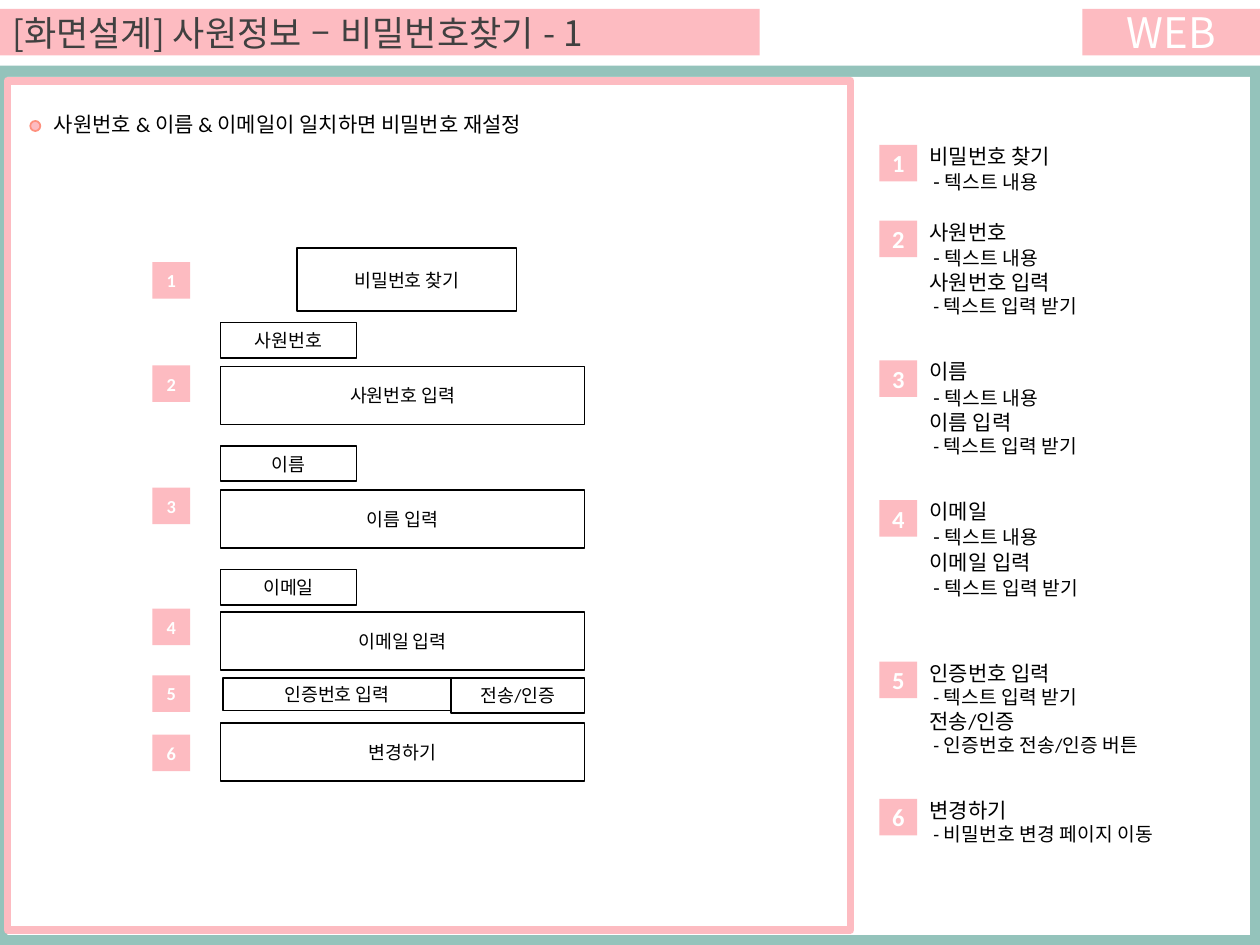
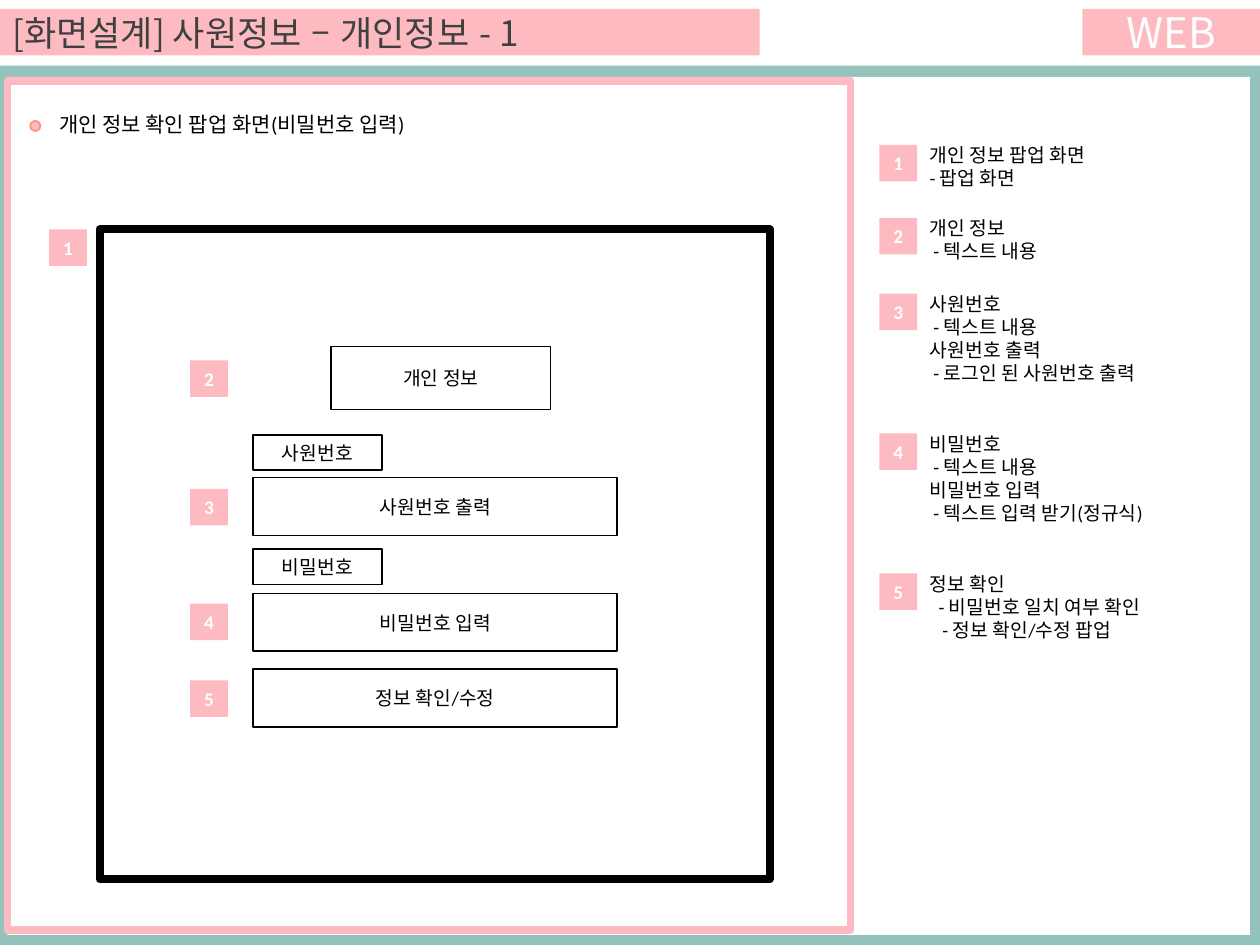
from typing import NamedTuple

from pptx import Presentation
from pptx import util as u
from pptx.dml.color import RGBColor
from pptx.enum import lang, shapes, text

PX = 9144  # 100 px to the inch
COLORS = {
    "pink": "FDBBC1",
    "coral": "FE907E",
    "teal": "94C3BB",
    "white": "FFFFFF",
    "black": "000000",
    "title": "404040",
}
BODY_FONT = "Calibri"
BAND_FONT = "Noto Sans CJK KR"
BADGE_W, BADGE_H = 30, 29
LEGEND_X = 698
DETAIL_SIZE = 11
RECT = shapes.MSO_SHAPE.RECTANGLE
OVAL = shapes.MSO_SHAPE.OVAL


class Box(NamedTuple):
    x: int
    y: int
    w: int
    h: int


class Style(NamedTuple):
    size: float
    color: str = "black"
    font: str = BODY_FONT
    bold: bool = False


class Wire(NamedTuple):
    caption: str
    box: Box


class Badge(NamedTuple):
    number: int
    x: int
    y: int


class NoteLine(NamedTuple):
    words: str
    indent: int = 0
    dash_size: float = 0  # 0 for a heading line


class Note(NamedTuple):
    y: int
    lines: list[NoteLine]


class Screen(NamedTuple):
    title: str
    summary: str
    summary_box: Box
    popup: Box | None
    wire_size: float
    wires: list[Wire]
    badges: list[Badge]
    heading_size: float
    legend_badge_size: float
    notes: list[Note]


def heading_wire(caption: str, x: int, y: int) -> Wire:
    return Wire(caption, Box(x, y, 174, 50))


def field_wire(caption: str, x: int, y: int) -> Wire:
    return Wire(caption, Box(x, y, 289, 46))


def label_wire(caption: str, x: int, y: int, w: int) -> Wire:
    return Wire(caption, Box(x, y, w, 28))


def detail(words: str, indent: int = 3, dash_size: float = DETAIL_SIZE) -> NoteLine:
    return NoteLine(words, indent, dash_size)


def emu(box: Box) -> list[int]:
    return [side * PX for side in box]


def rgb(color: str) -> RGBColor:
    return RGBColor.from_string(COLORS[color])


def add_run(paragraph, words: str, style: Style) -> None:
    run = paragraph.add_run()
    run.text = words
    font = run.font
    font.size, font.bold, font.name = u.Pt(style.size), style.bold, style.font
    font.color.rgb = rgb(style.color)
    font.language_id = lang.MSO_LANGUAGE_ID.KOREAN
    latin = run._r.rPr.find("{*}latin")
    east_asian = latin.makeelement(latin.tag.replace("latin", "ea"), {"typeface": style.font})
    latin.addnext(east_asian)


def draw_shape(parent, box: Box, fill: str = "", line: str = "",
               weight: float = 1, kind=RECT):
    shape = parent.add_shape(kind, *emu(box))
    shape.shadow.inherit = False
    if fill:
        shape.fill.solid()
        shape.fill.fore_color.rgb = rgb(fill)
    else:
        shape.fill.background()
    if line:
        shape.line.color.rgb = rgb(line)
        shape.line.width = u.Pt(weight)
    else:
        shape.line.fill.background()
    return shape


def draw_caption(parent, box: Box, words: str, style: Style, fill: str,
                 line: str = "", align=text.PP_ALIGN.CENTER) -> None:
    frame = draw_shape(parent, box, fill, line).text_frame
    frame.word_wrap = True
    frame.vertical_anchor = text.MSO_ANCHOR.MIDDLE
    frame.paragraphs[0].alignment = align
    add_run(frame.paragraphs[0], words, style)


def draw_badge(parent, badge: Badge, size: float) -> None:
    box = Box(badge.x, badge.y, BADGE_W, BADGE_H)
    draw_caption(parent, box, str(badge.number), Style(size, "white", bold=True), "pink")


def draw_text(parent, box: Box, lines: list[NoteLine], size: float) -> None:
    frame = parent.add_textbox(*emu(box)).text_frame
    frame.word_wrap = True
    frame.auto_size = text.MSO_AUTO_SIZE.SHAPE_TO_FIT_TEXT
    for index, line in enumerate(lines):
        paragraph = frame.add_paragraph() if index else frame.paragraphs[0]
        if line.indent:
            paragraph._p.get_or_add_pPr().set("marL", str(line.indent * PX))
        if line.dash_size:
            add_run(paragraph, "- ", Style(line.dash_size))
        add_run(paragraph, line.words, Style(DETAIL_SIZE if line.dash_size else size))


def draw_frame(slide) -> None:
    """Teal border, white page and pink outline of the mock-up area."""
    frame = slide.shapes.add_group_shape().shapes
    draw_shape(frame, Box(0, 52, 1000, 698), "teal")
    draw_shape(frame, Box(6, 61, 986, 681), "white")
    draw_shape(frame, Box(6, 64, 669, 674), line="pink", weight=4.5)


def draw_bands(slide, title: str) -> None:
    draw_caption(slide.shapes, Box(859, 7, 141, 37), "WEB",
                 Style(24, "white", BAND_FONT), "pink")
    draw_caption(slide.shapes, Box(0, 7, 603, 37), title,
                 Style(20, "title", BAND_FONT), "pink", align=text.PP_ALIGN.LEFT)


def draw_legend(slide, screen: Screen) -> None:
    for number, note in enumerate(screen.notes, 1):
        entry = slide.shapes.add_group_shape().shapes
        draw_badge(entry, Badge(number, LEGEND_X, note.y + 6), screen.legend_badge_size)
        height = 10 + round(18.5 * len(note.lines))
        draw_text(entry, Box(LEGEND_X + BADGE_W, note.y, 265, height),
                  note.lines, screen.heading_size)


def draw_screen(slide, screen: Screen) -> None:
    draw_frame(slide)
    draw_shape(slide.shapes, Box(24, 96, 8, 8), "pink", "coral", kind=OVAL)
    draw_text(slide.shapes, screen.summary_box, [NoteLine(screen.summary)], 12)
    if screen.popup:
        draw_shape(slide.shapes, screen.popup, "white", "black", 4.5)
    for badge in screen.badges:
        draw_badge(slide.shapes, badge, screen.wire_size)
    for wire in screen.wires:
        draw_caption(slide.shapes, wire.box, wire.caption,
                     Style(screen.wire_size), "white", "black")
    draw_legend(slide, screen)
    draw_bands(slide, screen.title)


PASSWORD_SEARCH = Screen(
    title="[화면설계] 사원정보 – 비밀번호찾기 - 1",
    summary="사원번호 & 이름 & 이메일이 일치하면 비밀번호 재설정",
    summary_box=Box(33, 84, 422, 30),
    popup=None,
    wire_size=10.5,
    wires=[
        heading_wire("비밀번호 찾기", 236, 197),
        label_wire("사원번호", 175, 256, 108),
        field_wire("사원번호 입력", 175, 291),
        label_wire("이름", 175, 354, 108),
        field_wire("이름 입력", 175, 389),
        label_wire("이메일", 175, 452, 108),
        field_wire("이메일 입력", 175, 486),
        Wire("인증번호 입력", Box(177, 538, 181, 26)),
        label_wire("전송/인증", 358, 538, 106),
        field_wire("변경하기", 175, 574),
    ],
    badges=[Badge(number, 121, y)
            for number, y in enumerate((208, 290, 387, 483, 536, 583), 1)],
    heading_size=12,
    legend_badge_size=14,
    notes=[
        Note(109, [NoteLine("비밀번호 찾기"), detail("텍스트 내용", dash_size=12)]),
        Note(169, [NoteLine("사원번호"), detail("텍스트 내용", dash_size=12),
                   NoteLine("사원번호 입력"), detail("텍스트 입력 받기")]),
        Note(280, [NoteLine("이름"), detail("텍스트 내용", dash_size=12),
                   NoteLine("이름 입력"), detail("텍스트 입력 받기")]),
        Note(391, [NoteLine("이메일"), detail("텍스트 내용", dash_size=12),
                   NoteLine("이메일 입력"), detail("텍스트 입력 받기", dash_size=12)]),
        Note(519, [NoteLine("인증번호 입력"), detail("텍스트 입력 받기"),
                   NoteLine("전송/인증"), detail("인증번호 전송/인증 버튼")]),
        Note(628, [NoteLine("변경하기"), detail("비밀번호 변경 페이지 이동")]),
    ],
)

PERSONAL_INFO = Screen(
    title="[화면설계] 사원정보 – 개인정보 - 1",
    summary="개인 정보 확인 팝업 화면(비밀번호 입력)",
    summary_box=Box(37, 84, 382, 30),
    popup=Box(79, 182, 532, 516),
    wire_size=11,
    wires=[
        heading_wire("개인 정보", 263, 275),
        label_wire("사원번호", 201, 345, 102),
        field_wire("사원번호 출력", 201, 379),
        label_wire("비밀번호", 201, 436, 102),
        field_wire("비밀번호 입력", 201, 471),
        field_wire("정보 확인/수정", 201, 531),
    ],
    badges=[Badge(1, 39, 182)] + [Badge(number, 151, y) for number, y
                                  in enumerate((286, 388, 479, 540), 2)],
    heading_size=11,
    legend_badge_size=11,
    notes=[
        Note(109, [NoteLine("개인 정보 팝업 화면"), detail("팝업 화면", indent=0)]),
        Note(167, [NoteLine("개인 정보"), detail("텍스트 내용")]),
        Note(227, [NoteLine("사원번호"), detail("텍스트 내용"),
                   NoteLine("사원번호 출력"), detail("로그인 된 사원번호 출력")]),
        Note(338, [NoteLine("비밀번호"), detail("텍스트 내용"),
                   NoteLine("비밀번호 입력"), detail("텍스트 입력 받기(정규식)")]),
        Note(449, [NoteLine("정보 확인"), detail("비밀번호 일치 여부 확인", indent=7),
                   detail("정보 확인/수정 팝업", indent=10)]),
    ],
)


def main() -> None:
    deck = Presentation()
    deck.slide_width, deck.slide_height = 1000 * PX, 750 * PX
    blank = deck.slide_layouts[6]
    for screen in (PASSWORD_SEARCH, PERSONAL_INFO):
        draw_screen(deck.slides.add_slide(blank), screen)
    deck.save("out.pptx")


if __name__ == "__main__":
    main()
